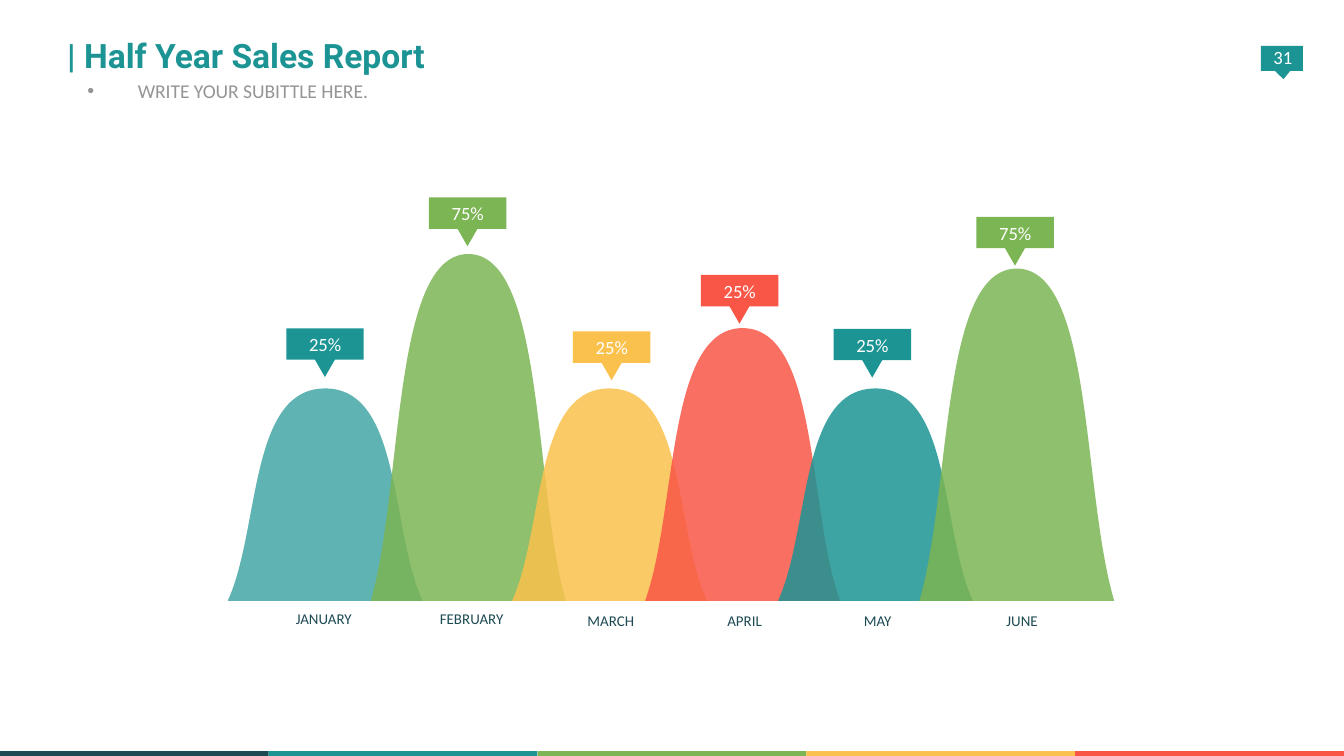
from collections import namedtuple
from dataclasses import dataclass

from lxml import etree
from pptx import Presentation
from pptx.dml.color import RGBColor
from pptx.enum.shapes import MSO_SHAPE
from pptx.enum.text import MSO_ANCHOR, MSO_AUTO_SIZE, PP_ALIGN
from pptx.oxml.ns import qn
from pptx.util import Pt

RECTANGLE = MSO_SHAPE.RECTANGLE
TRIANGLE = MSO_SHAPE.ISOSCELES_TRIANGLE
TOP, MIDDLE = MSO_ANCHOR.TOP, MSO_ANCHOR.MIDDLE
LEFT, CENTER = PP_ALIGN.LEFT, PP_ALIGN.CENTER
NO_AUTOFIT = MSO_AUTO_SIZE.NONE


@dataclass(frozen=True)
class Theme:
    navy: str = "1D4A53"
    teal: str = "1C9494"
    green: str = "7CB554"
    yellow: str = "FAC14D"
    red: str = "F95647"
    gray: str = "959596"
    white: str = "FFFFFF"
    heading_font: str = "Roboto"
    body_font: str = "Calibri"
    title_size: float = 18
    subtitle_size: float = 10.5
    tag_size: float = 10
    label_size: float = 8


THEME = Theme()
PAGE_WIDTH, PAGE_HEIGHT = 720, 405
HILL_WIDTH, BASELINE = 104.4, 321.9

# Positions in points; label_center and label_top place the month name
Month = namedtuple("Month", "name share color opacity hill_left peak "
                            "tag_left tag_top label_center label_top")
MONTHS = [
    Month("JANUARY", "25%", THEME.teal, 70, 122, 208.1, 153.4, 175.9, 173.5, 323.3),
    Month("FEBRUARY", "75%", THEME.green, 85, 198.7, 136.1, 229.8, 105.8, 252.7, 323.3),
    Month("MARCH", "25%", THEME.yellow, 85, 274.3, 208.1, 307, 177.6, 327.2, 324.2),
    Month("APRIL", "25%", THEME.red, 85, 345.6, 175.8, 375.5, 147.3, 398.9, 324.2),
    Month("MAY", "25%", THEME.teal, 85, 416.8, 208.1, 446.6, 176.2, 470.2, 324.2),
    Month("JUNE", "75%", THEME.green, 85, 492.5, 143.9, 523.1, 116.2, 547.6, 324.2),
]


def place(shape, left, top, width, height):
    shape.left, shape.top = Pt(left), Pt(top)
    shape.width, shape.height = Pt(width), Pt(height)


def paint(shape, color):
    shape.shadow.inherit = False
    shape.fill.solid()
    shape.fill.fore_color.rgb = RGBColor.from_string(color)
    shape.line.fill.background()


def add_block(page, kind, left, top, width, height, color, rotation=0):
    block = page.shapes.add_shape(kind, Pt(left), Pt(top), Pt(width), Pt(height))
    paint(block, color)
    block.rotation = rotation
    return block


def write(shape, text, size, color, font=THEME.body_font, bold=False,
          align=CENTER, anchor=MIDDLE, insets=(0, 0, 0, 0)):
    frame = shape.text_frame
    frame.word_wrap = True
    frame.auto_size = NO_AUTOFIT
    frame.vertical_anchor = anchor
    (frame.margin_left, frame.margin_top,
     frame.margin_right, frame.margin_bottom) = map(Pt, insets)
    frame.text = text
    para = frame.paragraphs[0]
    para.alignment = align
    para.space_before = Pt(0)
    para.font.name, para.font.size, para.font.bold = font, Pt(size), bold
    para.font.color.rgb = RGBColor.from_string(color)


def add_text(page, left, top, width, height, text, size, color, **style):
    box = page.shapes.add_textbox(Pt(left), Pt(top), Pt(width), Pt(height))
    write(box, text, size, color, **style)


def add_headings(page):
    title, subtitle = page.placeholders[0], page.placeholders[1]
    place(title, 36, 18.7, 540, 28.8)
    write(title, "| Half Year Sales Report", THEME.title_size, THEME.teal,
          font=THEME.heading_font, bold=True, align=LEFT, anchor=TOP,
          insets=(0, 0, 7.2, 0))

    place(subtitle, 46.8, 42.5, 528, 20.9)
    subtitle.text_frame.text = ""
    properties = subtitle.text_frame.paragraphs[0]._p.get_or_add_pPr()
    properties.set("marL", "0")
    properties.set("indent", "0")
    etree.SubElement(properties, qn("a:buNone"))
    write(subtitle, "WRITE YOUR SUBITTLE HERE.", THEME.subtitle_size, THEME.gray,
          align=LEFT, anchor=TOP, insets=(0, 0, 7.2, 0))


def add_footer_stripe(page):
    colors = (THEME.navy, THEME.teal, THEME.green, THEME.yellow, THEME.red)
    width, height = PAGE_WIDTH / len(colors), 2.6
    for index, color in enumerate(colors):
        add_block(page, RECTANGLE, index * width, PAGE_HEIGHT - height,
                  width, height, color)


def add_page_marker(page):
    add_block(page, RECTANGLE, 675.5, 24.6, 22.5, 13.4, THEME.teal)
    add_block(page, TRIANGLE, 676.1, 30.2, 22.3, 12.2, THEME.teal, rotation=176.8)
    add_text(page, 676.8, 21.6, 20.9, 21.6, "31", THEME.tag_size, THEME.white,
             insets=(0, 0, 0, 3.6))


def add_hill(page, month):
    # Two mirrored curves, each given by two control points and an end point
    height = BASELINE - month.peak
    half = [(0, 0), (17.4, height / 3), (11.2, height), (HILL_WIDTH / 2, height)]
    outline = half + [(HILL_WIDTH - x, y) for x, y in reversed(half[:-1])]
    points = [(Pt(month.hill_left + x), Pt(BASELINE - y)) for x, y in outline]
    builder = page.shapes.build_freeform(*points[0])
    builder.add_line_segments(points[1:], close=True)
    hill = builder.convert_to_shape()
    paint(hill, month.color)

    # Turn every three straight segments into one cubic curve
    segments = list(hill._element.iter(qn("a:lnTo")))[:6]
    for start in (0, 3):
        curve = etree.Element(qn("a:cubicBezTo"))
        segments[start].addprevious(curve)
        for segment in segments[start:start + 3]:
            curve.append(segment[0])
            segment.getparent().remove(segment)

    color = hill._element.spPr.find(qn("a:solidFill"))[0]
    etree.SubElement(color, qn("a:alpha"), val=str(month.opacity * 1000))


def add_month_label(page, month):
    width = 70
    add_text(page, month.label_center - width / 2, month.label_top, width, 22.3,
             month.name, THEME.label_size, THEME.navy, anchor=TOP,
             insets=(0, 3.6, 0, 3.6))


def add_share_tag(page, month):
    add_block(page, TRIANGLE, month.tag_left + 12, month.tag_top + 11,
              17.3, 15.1, month.color, rotation=180)
    tag = add_block(page, RECTANGLE, month.tag_left, month.tag_top,
                    41.5, 16.8, month.color)
    write(tag, month.share, THEME.tag_size, THEME.white)


def main():
    deck = Presentation()
    deck.slide_width, deck.slide_height = Pt(PAGE_WIDTH), Pt(PAGE_HEIGHT)
    page = deck.slides.add_slide(deck.slide_layouts[1])

    # Frame of the page
    add_headings(page)
    add_footer_stripe(page)
    add_page_marker(page)

    # Overlapping hills, then their labels and tags
    for add_part in (add_hill, add_month_label, add_share_tag):
        for month in MONTHS:
            add_part(page, month)

    deck.save("out.pptx")


if __name__ == "__main__":
    main()
